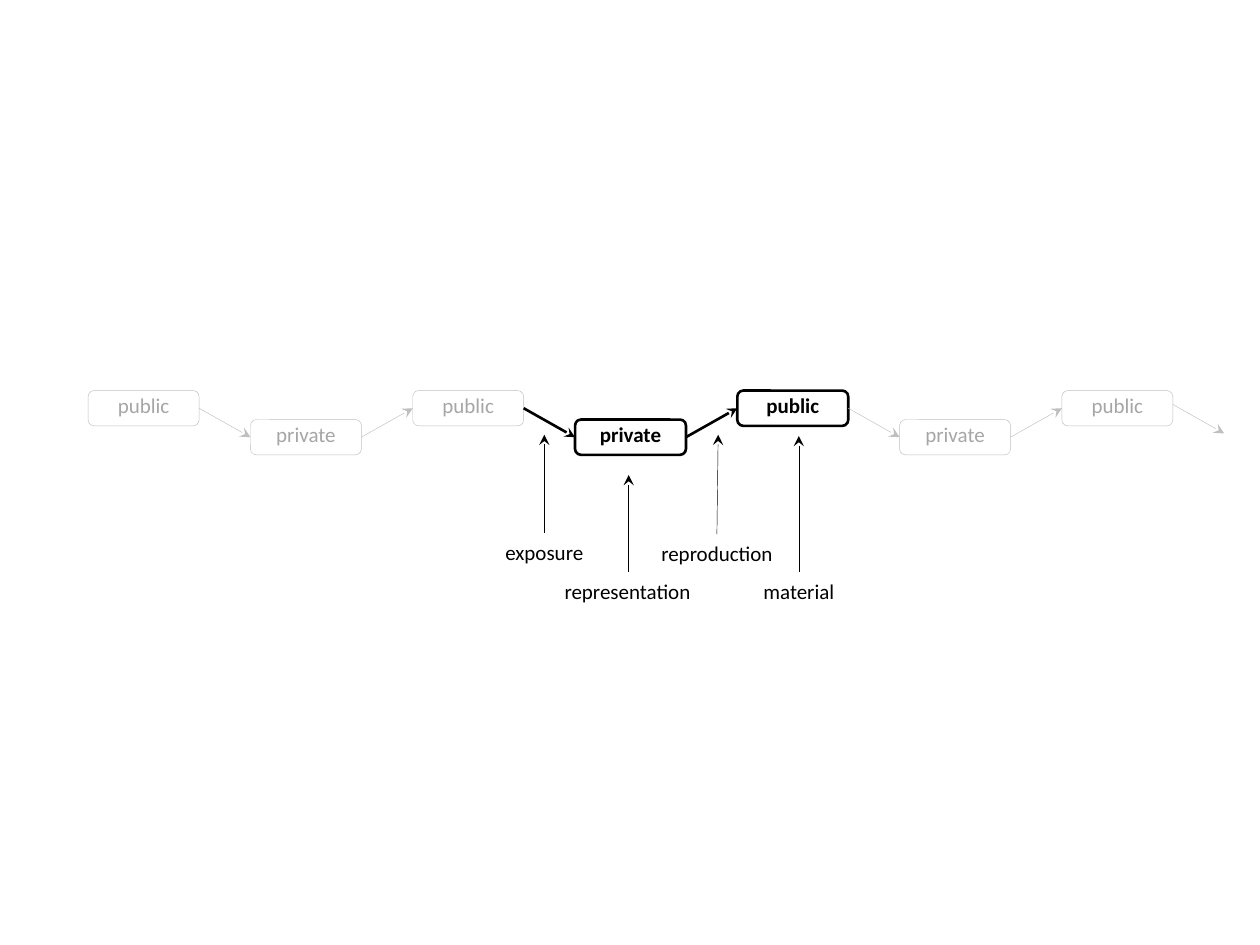
from lxml import etree
from pptx import Presentation
from pptx.dml.color import RGBColor
from pptx.enum.shapes import MSO_CONNECTOR, MSO_SHAPE
from pptx.enum.text import MSO_ANCHOR, PP_ALIGN
from pptx.oxml.ns import qn
from pptx.util import Inches, Pt

ROUNDED = MSO_SHAPE.ROUNDED_RECTANGLE
STRAIGHT = MSO_CONNECTOR.STRAIGHT
MIDDLE = MSO_ANCHOR.MIDDLE
CENTER = PP_ALIGN.CENTER

COLORS = {"active": "000000", "faded_line": "BFBFBF", "faded_text": "A6A6A6"}
FADED = {"line": "faded_line", "text": "faded_text", "width": 0.25, "bold": False}
STRONG = {"line": "active", "text": "active", "width": 1.5, "bold": True}
NOTE = {"line": "active", "text": "active", "width": 0.25, "bold": False}

# Grid of the chain: seven columns, alternating between two rows
LEFT, PITCH = 0.7, 1.288
BOX_W, BOX_H = 0.88, 0.28
ROW_TOPS = {"public": 3.1, "private": 3.33}
STAGES = ["public", "private"] * 3 + ["public"]
STRONG_STAGES = (3, 4)
LABEL_W, LABEL_H = 1.38, 0.3

# label, centre, top of label, x and y of the arrow tip
NOTES = [
    ("exposure", 4.32, 4.23, 4.32, 3.45),
    ("representation", 4.98, 4.54, 4.99, 3.77),
    ("reproduction", 5.69, 4.24, 5.7, 3.45),
    ("material", 6.34, 4.54, 6.34, 3.46),
]


def color(key):
    """Look up a palette colour."""
    return RGBColor.from_string(COLORS[key])


def write(shape, text, style, bottom_inset=0):
    """Put one centred line of text into a shape."""
    frame = shape.text_frame
    frame_format = {"word_wrap": True, "vertical_anchor": MIDDLE,
                    "margin_left": 0, "margin_right": 0, "margin_top": 0,
                    "margin_bottom": Inches(bottom_inset)}
    for name, value in frame_format.items():
        setattr(frame, name, value)
    paragraph = frame.paragraphs[0]
    paragraph.alignment = CENTER
    run = paragraph.add_run()
    run.text = text
    font_format = {"name": "Calibri", "size": Pt(12), "bold": style["bold"]}
    for name, value in font_format.items():
        setattr(run.font, name, value)
    run.font.color.rgb = color(style["text"])


def outline(shape, style):
    """Give a shape or connector its line."""
    shape.line.color.rgb = color(style["line"])
    shape.line.width = Pt(style["width"])


def add_stage(slide, column, text, style):
    """Draw one rounded box of the chain with its word."""
    box = slide.shapes.add_shape(
        ROUNDED, Inches(LEFT + column * PITCH), Inches(ROW_TOPS[text]),
        Inches(BOX_W), Inches(BOX_H))
    box.shadow.inherit = False
    box.fill.background()
    outline(box, style)
    write(box, text, style, bottom_inset=0.05)


def add_arrow(slide, start, end, style):
    """Draw a straight arrow with a stealth head at its end."""
    arrow = slide.shapes.add_connector(
        STRAIGHT, *(Inches(value) for value in (*start, *end)))
    outline(arrow, style)
    etree.SubElement(arrow.line._get_or_add_ln(), qn("a:tailEnd"), type="stealth")
    etree.SubElement(arrow._element.spPr, qn("a:effectLst"))


def add_chain(slide):
    """Draw the alternating stages and the arrows leading on from each."""
    strong_links = [stage - 1 for stage in STRONG_STAGES]
    for column, text in enumerate(STAGES):
        add_stage(slide, column, text, STRONG if column in STRONG_STAGES else FADED)
        following = "private" if text == "public" else "public"
        rise = -0.03 if column == len(STAGES) - 1 else 0
        start_x = LEFT + column * PITCH + BOX_W
        start, end = (ROW_TOPS[row] + BOX_H / 2 + rise for row in (text, following))
        add_arrow(slide, (start_x, start), (start_x + PITCH - BOX_W, end),
                  STRONG if column in strong_links else FADED)


def add_note(slide, text, center, top, tip_x, tip_y):
    """Place a label with an arrow pointing up from it."""
    label = slide.shapes.add_textbox(
        Inches(center - LABEL_W / 2), Inches(top), Inches(LABEL_W), Inches(LABEL_H))
    write(label, text, NOTE)
    add_arrow(slide, (center + 0.01 if text == "representation" else center, top),
              (tip_x, tip_y), NOTE)


def main():
    """Build and save the slide."""
    deck = Presentation()
    deck.slide_width, deck.slide_height = Inches(10), Inches(7.5)
    slide = deck.slides.add_slide(deck.slide_layouts[6])
    add_chain(slide)
    for note in NOTES:
        add_note(slide, *note)
    deck.save("out.pptx")


main()
